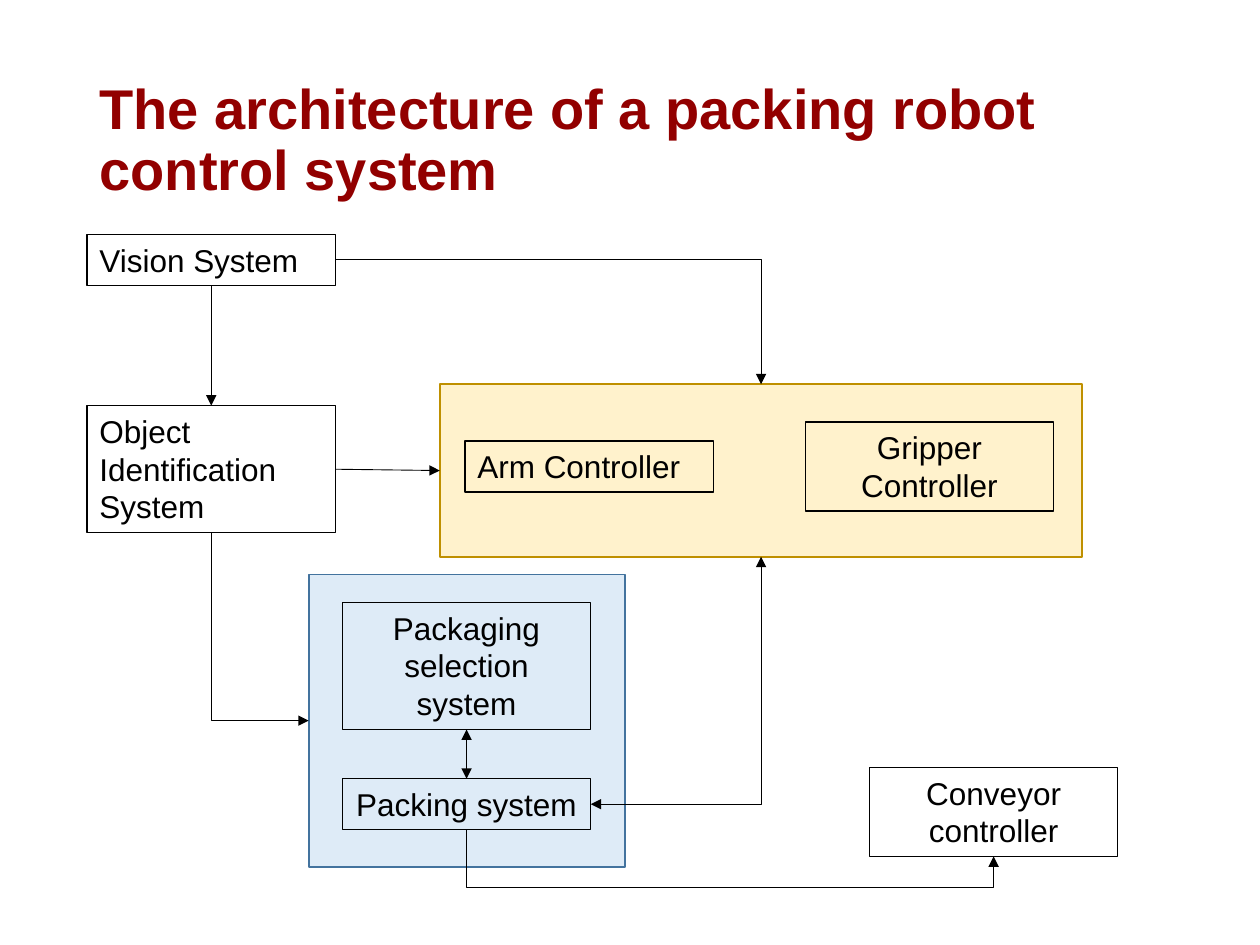
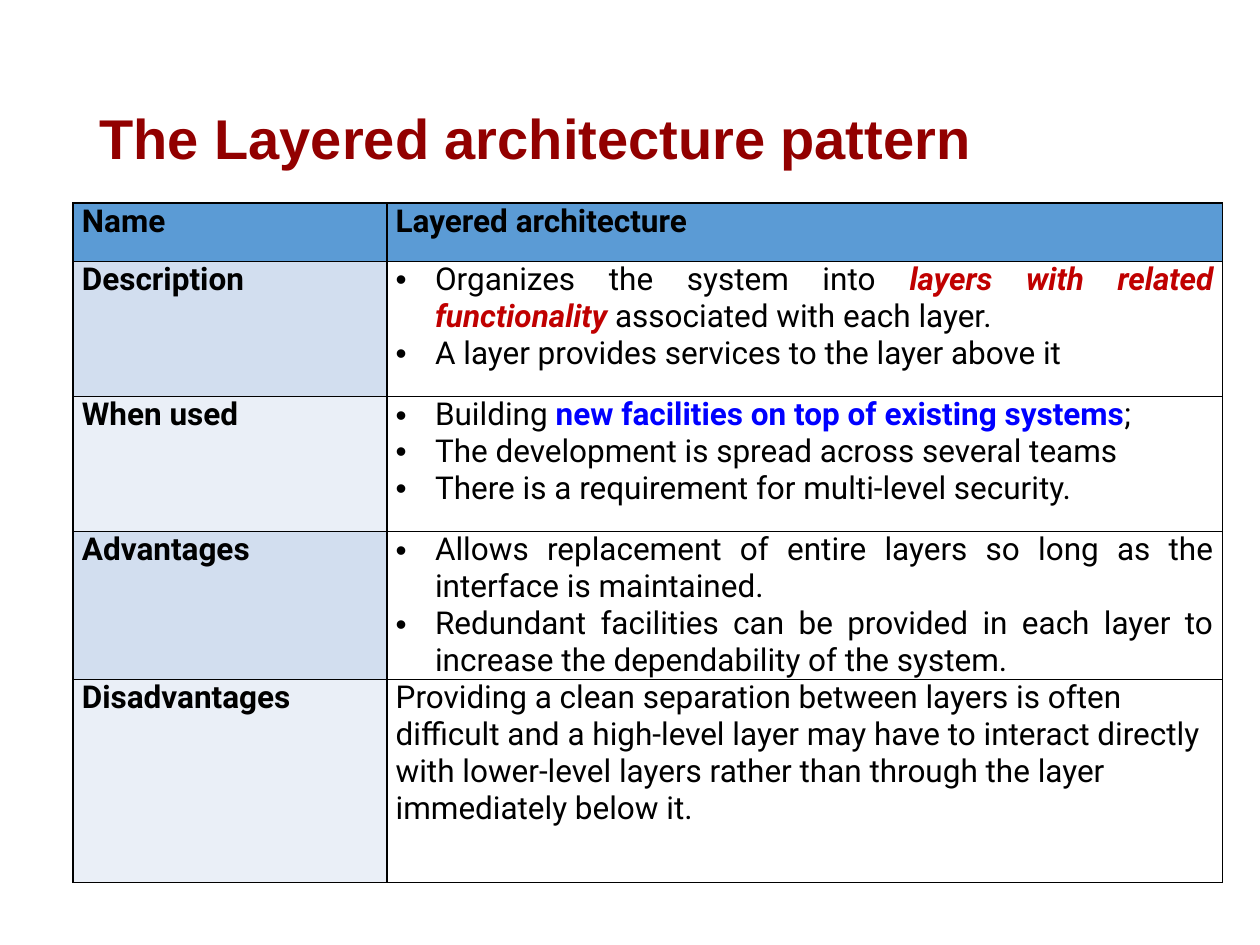
"""Build two slides on software architecture: a robot control system and a pattern table."""
from lxml.etree import SubElement
from pptx import Presentation
from pptx.dml.color import RGBColor
from pptx.enum.shapes import MSO_CONNECTOR as Link, MSO_SHAPE as Kind
from pptx.enum.text import MSO_ANCHOR as Anchor, MSO_AUTO_SIZE as Fit, PP_ALIGN as Align
from pptx.oxml.ns import qn
from pptx.util import Pt

BLACK, WHITE, MAROON = "000000", "FFFFFF", "920000"
HEAD, BANDS = "5B9BD5", ("D2DEEF", "EAEFF7")
TITLES = ("The architecture of a packing robot control system",
          "The Layered architecture pattern")

FRAMES = {
    "pack area": (176.4, 328.3, 180.7, 167, "DEEBF7", "43739E"),
    "arm area": (251.3, 219.6, 367.2, 98.6, "FFF2CC", "BF9000"),
}
BOXES = {
    "Vision System": (49.7, 133.9, 1, Align.LEFT),
    "Object Identification System": (49.7, 231.8, 3, Align.LEFT),
    "Arm Controller": (265.7, 252, 1, Align.LEFT),
    "Gripper Controller": (460.1, 241.2, 2, Align.CENTER),
    "Packaging selection system": (195.6, 344.2, 3, Align.CENTER),
    "Packing system": (195.6, 445, 1, Align.CENTER),
    "Conveyor controller": (496.8, 438.5, 2, Align.CENTER),
}
TOP, LEFT, BOTTOM, RIGHT = range(4)
LINKS = [
    ("Vision System", RIGHT, "arm area", TOP, False),
    ("Vision System", BOTTOM, "Object Identification System", TOP, False),
    ("Object Identification System", RIGHT, "arm area", LEFT, False),
    ("Object Identification System", BOTTOM, "pack area", LEFT, False),
    ("arm area", BOTTOM, "Packing system", RIGHT, True),
    ("Packing system", BOTTOM, "Conveyor controller", BOTTOM, False),
    ("Packing system", TOP, "Packaging selection system", BOTTOM, True),
]
BOX_W, LINE_H, PAD, DROP = 142, 21.8, 7.3, 33

STYLES = {"plain": (BLACK, False, False), "bold": (BLACK, True, False),
          "red": ("C00000", True, True), "blue": ("0000FF", True, False)}
COLS = (179.3, 477.4)
ROWS = [
    ("Name", 33.5, "bold", [[("Layered architecture", "bold")]]),
    ("Description", 77.2, "list", [
        [("Organizes the system into ", "plain"),
         ("layers with related functionality", "red"),
         (" associated with each layer.", "plain")],
        [("A layer provides services to the layer above it", "plain")]]),
    ("When used", 77.2, "list", [
        [("Building ", "plain"),
         ("new facilities on top of existing systems", "blue"), (";", "plain")],
        [("The development is spread across several teams", "plain")],
        [("There is a requirement for multi-level security.", "plain")]]),
    ("Advantages", 80, "list", [
        [("Allows replacement of entire layers so long as the interface is maintained.",
          "plain")],
        [("Redundant facilities can be provided in each layer to increase the "
          "dependability of the system.", "plain")]]),
    ("Disadvantages", 116, "text", [
        [("Providing a clean separation between layers is often difficult and a "
          "high-level layer may have to interact directly with lower-level layers "
          "rather than through the layer immediately below it.", "plain")]]),
]


def rgb(code):
    """Turn a hex string into a colour."""
    return RGBColor.from_string(code)


def write(para, text, face="Arial", size=18, color=BLACK, bold=False, slant=False):
    """Add one run of text to a paragraph."""
    run = para.add_run()
    run.text = text
    font = run.font
    font.name, font.size, font.bold, font.italic = face, Pt(size), bold, slant
    font.color.rgb = rgb(color)


def start(deck, text):
    """Add a slide with its title."""
    slide = deck.slides.add_slide(deck.slide_layouts[5])
    title = slide.shapes.title
    title.left, title.top, title.width, title.height = map(Pt, (49.7, 28.8, 620.6, 104.4))
    frame = title.text_frame
    frame.word_wrap, frame.auto_size = True, Fit.NONE
    frame.vertical_anchor = Anchor.MIDDLE
    para = frame.paragraphs[0]
    para.alignment, para.line_spacing = Align.LEFT, 0.9
    write(para, text, size=32, color=MAROON, bold=True)
    return slide


def block(slide, area, fill, edge, weight):
    """Add a rectangle with an optional fill."""
    shape = slide.shapes.add_shape(Kind.RECTANGLE, *map(Pt, area))
    shape.shadow.inherit = False
    if fill:
        shape.fill.solid()
        shape.fill.fore_color.rgb = rgb(fill)
    else:
        shape.fill.background()
    shape.line.color.rgb, shape.line.width = rgb(edge), Pt(weight)
    return shape


def bend(line, goal):
    """Shape an elbow that leaves sideways, or leaves downwards and is turned."""
    x, y = line.begin_x, line.begin_y
    dx, dy = line.end_x - x, line.end_y - y
    props = line.element.spPr
    geom = props.find(qn("a:prstGeom"))
    side, end = goal
    if end == BOTTOM:
        guide = SubElement(geom.find(qn("a:avLst")), qn("a:gd"))
        guide.set("name", "adj1")
        guide.set("fmla", f"val {round(Pt(DROP) / dy * 100000)}")
    else:
        geom.set("prst", "bentConnector2")
    if side == BOTTOM:
        wide, high = abs(dy), abs(dx)
        line.left, line.top = x + (dx - wide) // 2, y + (dy - high) // 2
        line.width, line.height = wide, high
        frame = props.get_or_add_xfrm()
        frame.set("flipH", "1" if dx > 0 else "0")
        frame.set("rot", str((270 if dx > 0 else 90) * 60000))


def join(slide, parts, source, side, target, end, both):
    """Connect two parts with an arrow."""
    straight = side % 2 == end % 2 and side != end
    kind = Link.STRAIGHT if straight else Link.ELBOW
    line = slide.shapes.add_connector(kind, 0, 0, 0, 0)
    line.begin_connect(parts[source], side)
    line.end_connect(parts[target], end)
    if not straight:
        bend(line, (side, end))
    line.line.color.rgb, line.line.width = rgb(BLACK), Pt(0.5)
    stroke = line.line._get_or_add_ln()
    for tag in ("a:headEnd", "a:tailEnd")[0 if both else 1:]:
        SubElement(stroke, qn(tag)).set("type", "triangle")
    SubElement(line.element.spPr, qn("a:effectLst"))


def draw(slide):
    """Draw the frames, the boxes and their arrows."""
    parts = {}
    for name, (*area, fill, edge) in FRAMES.items():
        parts[name] = block(slide, area, fill, edge, 1)
    for name, (x, y, count, align) in BOXES.items():
        area = x, y, BOX_W, PAD + LINE_H * count
        parts[name] = shape = block(slide, area, None, BLACK, 0.75)
        frame = shape.text_frame
        frame.word_wrap, frame.auto_size = True, Fit.SHAPE_TO_FIT_TEXT
        frame.vertical_anchor = Anchor.TOP
        frame.paragraphs[0].alignment = align
        write(frame.paragraphs[0], name)
    for link in LINKS:
        join(slide, parts, *link)


def fill_cell(cell, paras, mode, color):
    """Format one cell and write its paragraphs."""
    cell.margin_left = cell.margin_right = Pt(5)
    cell.margin_top = cell.margin_bottom = 0
    props = cell._tc.get_or_add_tcPr()
    for edge in "LRTB":
        stroke = SubElement(props, qn(f"a:ln{edge}"), w=str(Pt(1)))
        paint = SubElement(stroke, qn("a:solidFill"))
        SubElement(paint, qn("a:srgbClr"), val=BLACK)
    cell.fill.solid()
    cell.fill.fore_color.rgb = rgb(color)
    frame = cell.text_frame
    for i, runs in enumerate(paras):
        para = frame.add_paragraph() if i else frame.paragraphs[0]
        para.alignment = Align.LEFT if mode == "text" else Align.JUSTIFY
        if mode == "list":
            style = para._p.get_or_add_pPr()
            style.set("marL", str(Pt(22.5)))
            style.set("indent", str(-Pt(22.5)))
            SubElement(style, qn("a:buFont"), typeface="Arial")
            SubElement(style, qn("a:buChar"), char="•")
        for text, look in runs:
            write(para, text, "Roboto", 18, *STYLES[look])


def tabulate(slide):
    """Add the table that describes the pattern."""
    high = sum(row[1] for row in ROWS)
    area = map(Pt, (41.8, 116, sum(COLS), high))
    table = slide.shapes.add_table(len(ROWS), len(COLS), *area).table
    table.horz_banding = False
    for col, wide in zip(table.columns, COLS):
        col.width = Pt(wide)
    for i, (name, tall, mode, paras) in enumerate(ROWS):
        table.rows[i].height = Pt(tall)
        fill_cell(table.cell(i, 0), [[(name, "bold")]], "bold",
                  BANDS[(i - 1) % 2] if i else HEAD)
        fill_cell(table.cell(i, 1), paras, mode, WHITE if i else HEAD)


def main():
    """Build and save the deck."""
    deck = Presentation()
    deck.slide_width, deck.slide_height = Pt(720), Pt(540)
    for title, build in zip(TITLES, (draw, tabulate)):
        build(start(deck, title))
    deck.save("out.pptx")


if __name__ == "__main__":
    main()
